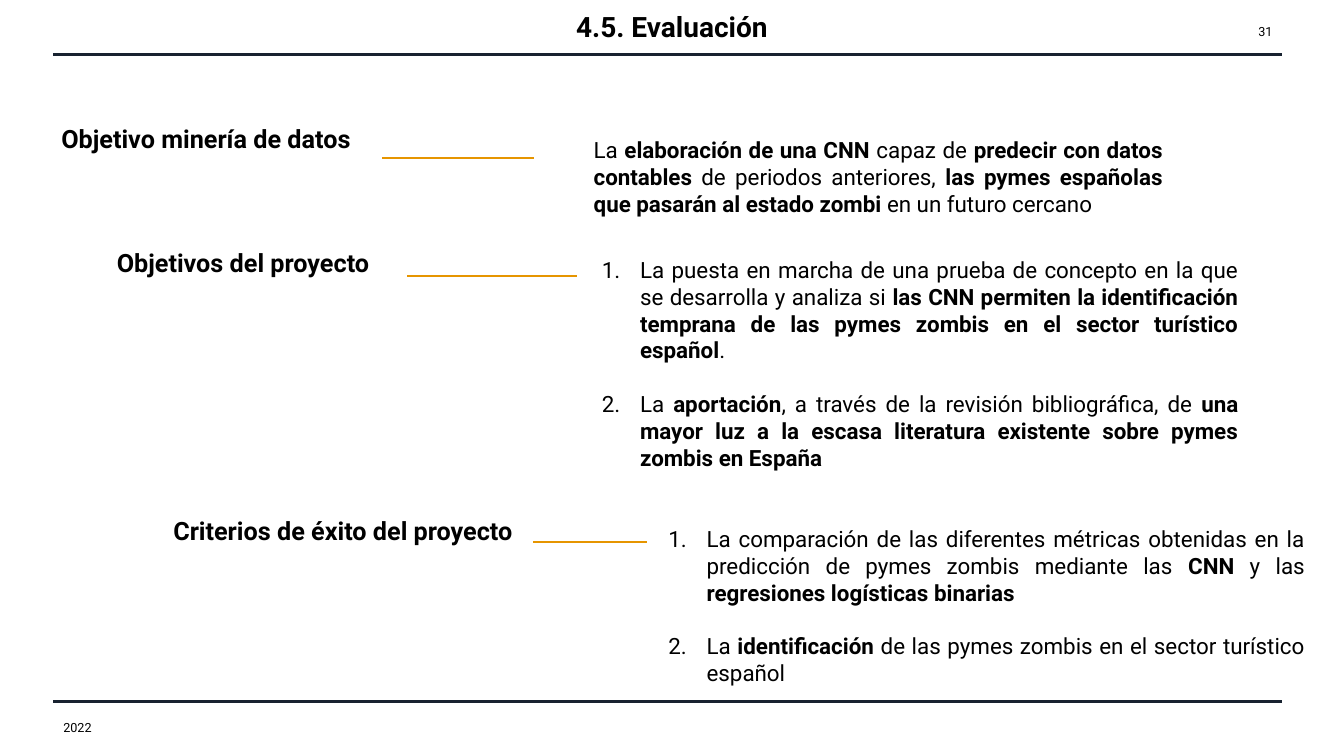
from lxml.etree import SubElement
from pptx import Presentation
from pptx.dml.color import RGBColor
from pptx.enum.shapes import MSO_CONNECTOR
from pptx.enum.text import MSO_ANCHOR, PP_ALIGN
from pptx.oxml.ns import qn
from pptx.util import Inches, Pt

COLORS = {"text": "000000", "rule": "182230", "accent": "E69500"}
FONT = "Roboto"

# Each section: label and its box, line ends and height, body box, paragraphs.
# Double asterisks enclose bold words.
SECTIONS = [
    ("Objetivo minería de datos", (0.51, 1.17, 3.28, 0.4),
     (3.79, 5.3, 1.57), (5.79, 1.3, 5.84, 0.91),
     ["La **elaboración de una CNN** capaz de **predecir con datos contables** "
      "de periodos anteriores, **las pymes españolas que pasarán al estado "
      "zombi** en un futuro cercano"]),
    ("Objetivos del proyecto", (1.06, 2.4, 3.28, 0.4),
     (4.04, 5.72, 2.74), (5.87, 2.49, 6.51, 2.26),
     ["La puesta en marcha de una prueba de concepto en la que se desarrolla y "
      "analiza si **las CNN permiten la identificación temprana de las pymes "
      "zombis en el sector turístico español**.",
      "La **aportación**, a través de la revisión bibliográfica, de **una mayor "
      "luz a la escasa literatura existente sobre pymes zombis en España**"]),
    ("Criterios de éxito del proyecto", (1.62, 5.06, 3.68, 0.4),
     (5.29, 6.42, 5.38), (6.53, 5.16, 6.51, 1.78),
     ["La comparación de las diferentes métricas obtenidas en la predicción de "
      "pymes zombis mediante las **CNN** y las **regresiones logísticas "
      "binarias**",
      "La **identificación** de las pymes zombis en el sector turístico "
      "español"]),
]


def add_line(slide, left, right, y, color, width):
    line = slide.shapes.add_connector(
        MSO_CONNECTOR.STRAIGHT, Inches(left), Inches(y), Inches(right), Inches(y))
    line.line.color.rgb = RGBColor.from_string(COLORS[color])
    line.line.width = Pt(width)
    SubElement(line._element.spPr, qn("a:effectLst"))


def add_frame(slide, box, anchor=MSO_ANCHOR.TOP):
    frame = slide.shapes.add_textbox(*map(Inches, box)).text_frame
    frame.word_wrap = True
    frame.vertical_anchor = anchor
    return frame


def style(run, size, bold):
    run.font.name = FONT
    run.font.size = Pt(size)
    run.font.bold = bold
    run.font.color.rgb = RGBColor.from_string(COLORS["text"])


def add_text(slide, box, text, size, bold=False, align=PP_ALIGN.LEFT,
             anchor=MSO_ANCHOR.MIDDLE):
    frame = add_frame(slide, box, anchor)
    frame.text = text
    para = frame.paragraphs[0]
    para.alignment = align
    style(para.runs[0], size, bold)


def add_number(para):
    props = para._p.get_or_add_pPr()
    props.set("marL", str(Inches(0.38)))
    props.set("indent", str(Inches(-0.38)))
    SubElement(props, qn("a:buFont"), typeface=FONT)
    SubElement(props, qn("a:buAutoNum"), type="arabicPeriod")


def add_body(slide, box, items):
    frame = add_frame(slide, box)
    for i, item in enumerate(items):
        para = frame.add_paragraph() if i else frame.paragraphs[0]
        if len(items) > 1:
            add_number(para)
        para.alignment = PP_ALIGN.JUSTIFY
        if i:
            para.space_before = Pt(19.2)
        for j, part in enumerate(item.split("**")):
            if part:
                run = para.add_run()
                run.text = part
                style(run, 16, j % 2 == 1)


def add_section(slide, label, place, line, box, items):
    add_text(slide, place, label, 18, bold=True, anchor=MSO_ANCHOR.TOP)
    add_line(slide, *line, "accent", 1.5)
    add_body(slide, box, items)


def add_border(slide):
    # Header and footer rules
    for y in (0.54, 6.96):
        add_line(slide, 0.53, 12.72, y, "rule", 2.25)
    # Title, year and page number
    add_text(slide, (2.11, 0, 9.11, 0.53), "4.5. Evaluación", 20, True,
             PP_ALIGN.CENTER)
    add_text(slide, (0.53, 7.02, 4.5, 0.4), "2022", 9)
    add_text(slide, (12.02, 0.11, 0.7, 0.4), "31", 9, align=PP_ALIGN.RIGHT)


def main():
    deck = Presentation()
    deck.slide_width, deck.slide_height = Inches(13.33), Inches(7.5)
    slide = deck.slides.add_slide(deck.slide_layouts[6])
    add_border(slide)
    for section in SECTIONS:
        add_section(slide, *section)
    deck.save("out.pptx")


if __name__ == "__main__":
    main()
